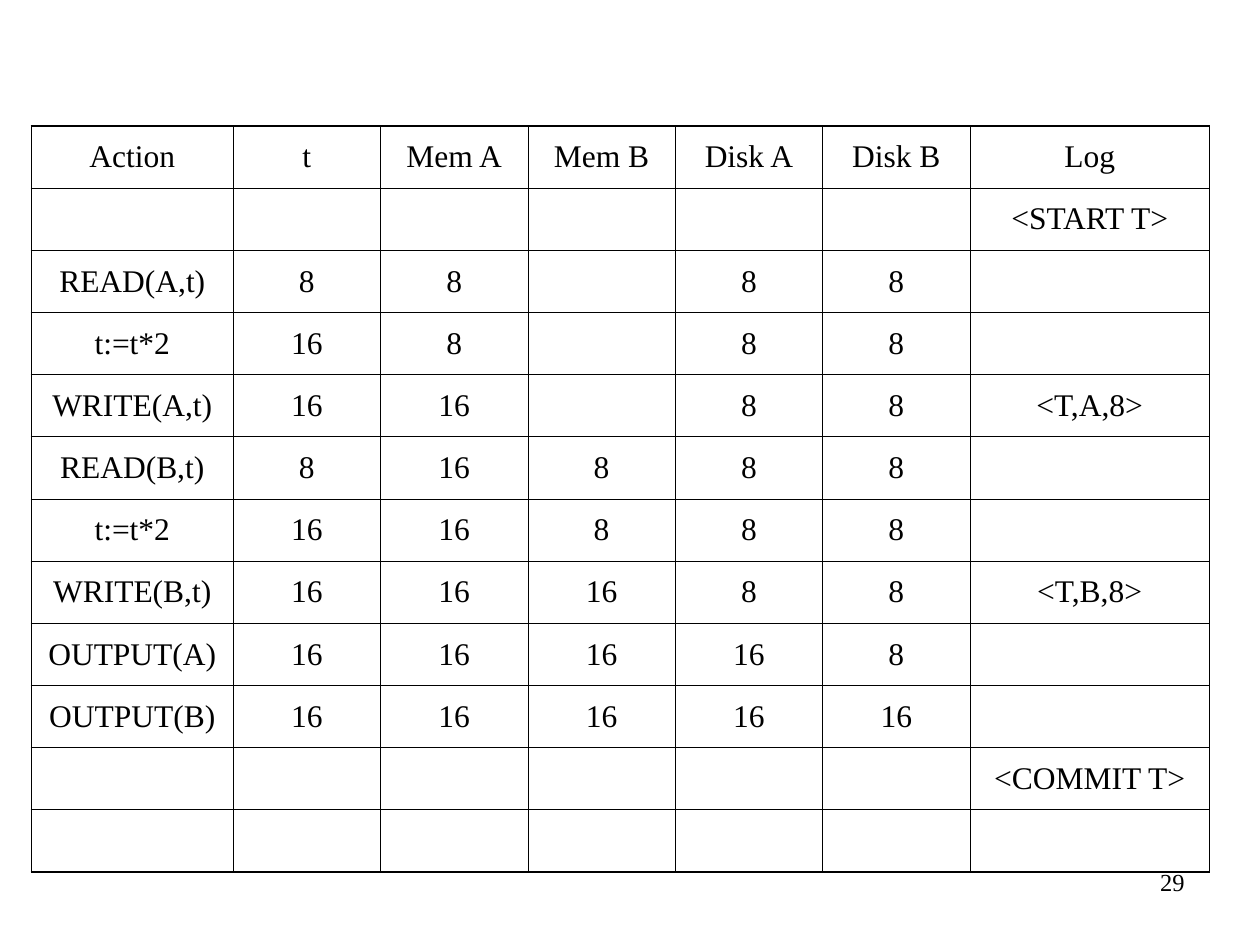
from dataclasses import dataclass

from lxml.etree import SubElement
from pptx import Presentation
from pptx.dml.color import RGBColor as RGB
from pptx.enum.text import MSO_ANCHOR as Anchor, PP_ALIGN as Align
from pptx.oxml.ns import qn
from pptx.util import Inches, Pt

HEADER = ["Action", "t", "Mem A", "Mem B", "Disk A", "Disk B", "Log"]
STEPS = [
    ["", "", "", "", "", "", "<START T>"],
    ["READ(A,t)", "8", "8", "", "8", "8", ""],
    ["t:=t*2", "16", "8", "", "8", "8", ""],
    ["WRITE(A,t)", "16", "16", "", "8", "8", "<T,A,8>"],
    ["READ(B,t)", "8", "16", "8", "8", "8", ""],
    ["t:=t*2", "16", "16", "8", "8", "8", ""],
    ["WRITE(B,t)", "16", "16", "16", "8", "8", "<T,B,8>"],
    ["OUTPUT(A)", "16", "16", "16", "16", "8", ""],
    ["OUTPUT(B)", "16", "16", "16", "16", "16", ""],
    ["", "", "", "", "", "", "<COMMIT T>"],
    ["", "", "", "", "", "", ""],
]
PAGE_NUMBER = "29"

TABLE_LEFT, TABLE_TOP, TABLE_HEIGHT = 0.25, 1, 5.92
ACTION_WIDTH, VALUE_WIDTH, LOG_WIDTH = 1.6, 1.17, 1.9


@dataclass(frozen=True)
class Theme:
    font: str = "Times New Roman"
    ink: str = "000000"
    cell_size: float = 18
    page_size: float = 14
    space_before: float = 4.5
    outer_line: float = 1.08
    inner_line: float = 0.45


THEME = Theme()


def write(p, text, size, align):
    p.text = text
    p.alignment = align
    p.font.name = THEME.font
    p.font.size = Pt(size)
    p.font.color.rgb = RGB.from_string(THEME.ink)


def set_borders(cell, outer_sides):
    """Rule all four sides, with the heavier line where the cell meets the table edge."""
    tc_pr = cell._tc.get_or_add_tcPr()
    for side, is_outer in outer_sides.items():
        width = THEME.outer_line if is_outer else THEME.inner_line
        ln = SubElement(tc_pr, qn(f"a:ln{side}"), w=str(Pt(width)))
        fill = SubElement(ln, qn("a:solidFill"))
        SubElement(fill, qn("a:srgbClr"), val=THEME.ink)


def add_log_table(slide):
    rows = [HEADER] + STEPS
    widths = [ACTION_WIDTH] + [VALUE_WIDTH] * (len(HEADER) - 2) + [LOG_WIDTH]
    table = slide.shapes.add_table(
        len(rows), len(widths), Inches(TABLE_LEFT), Inches(TABLE_TOP),
        Inches(sum(widths)), Inches(TABLE_HEIGHT)).table
    table.first_row = table.horz_banding = False
    for column, width in zip(table.columns, widths):
        column.width = Inches(width)

    last_row, last_col = len(rows) - 1, len(widths) - 1
    for i, row in enumerate(rows):
        for j, text in enumerate(row):
            cell = table.cell(i, j)
            cell.vertical_anchor = Anchor.MIDDLE
            set_borders(cell, {"L": j == 0, "R": j == last_col,
                               "T": i == 0, "B": i == last_row})
            cell.fill.background()
            p = cell.text_frame.paragraphs[0]
            write(p, text, THEME.cell_size, Align.CENTER)
            p.space_before = Pt(THEME.space_before)


def add_page_number(slide):
    box = slide.shapes.add_textbox(Inches(7.42), Inches(6.83), Inches(2.08), Inches(0.5))
    tf = box.text_frame
    tf.word_wrap = True
    write(tf.paragraphs[0], PAGE_NUMBER, THEME.page_size, Align.RIGHT)


def main():
    prs = Presentation()
    prs.slide_width, prs.slide_height = Inches(10), Inches(7.5)
    slide = prs.slides.add_slide(prs.slide_layouts[6])
    add_page_number(slide)
    add_log_table(slide)
    prs.save("out.pptx")


if __name__ == "__main__":
    main()
